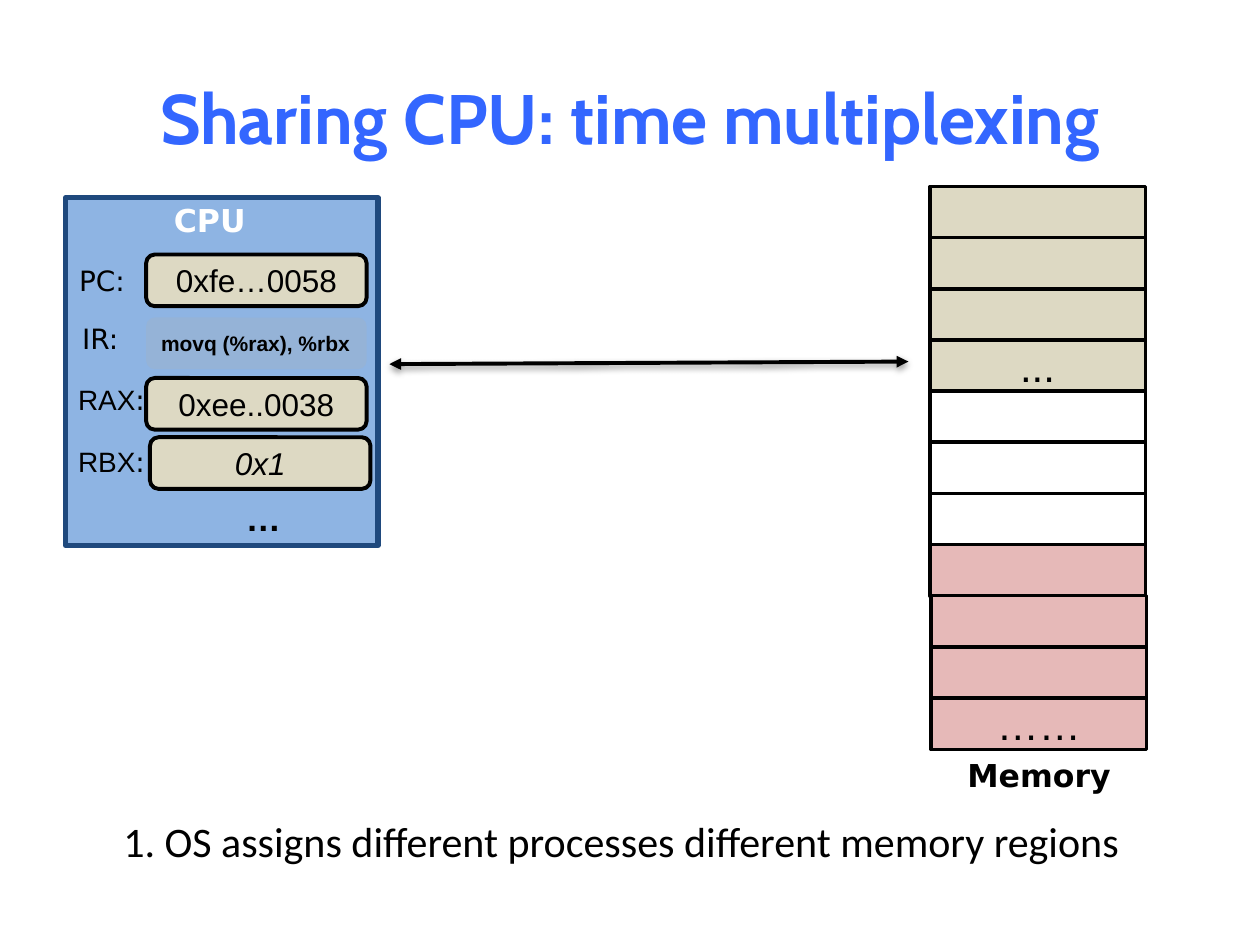
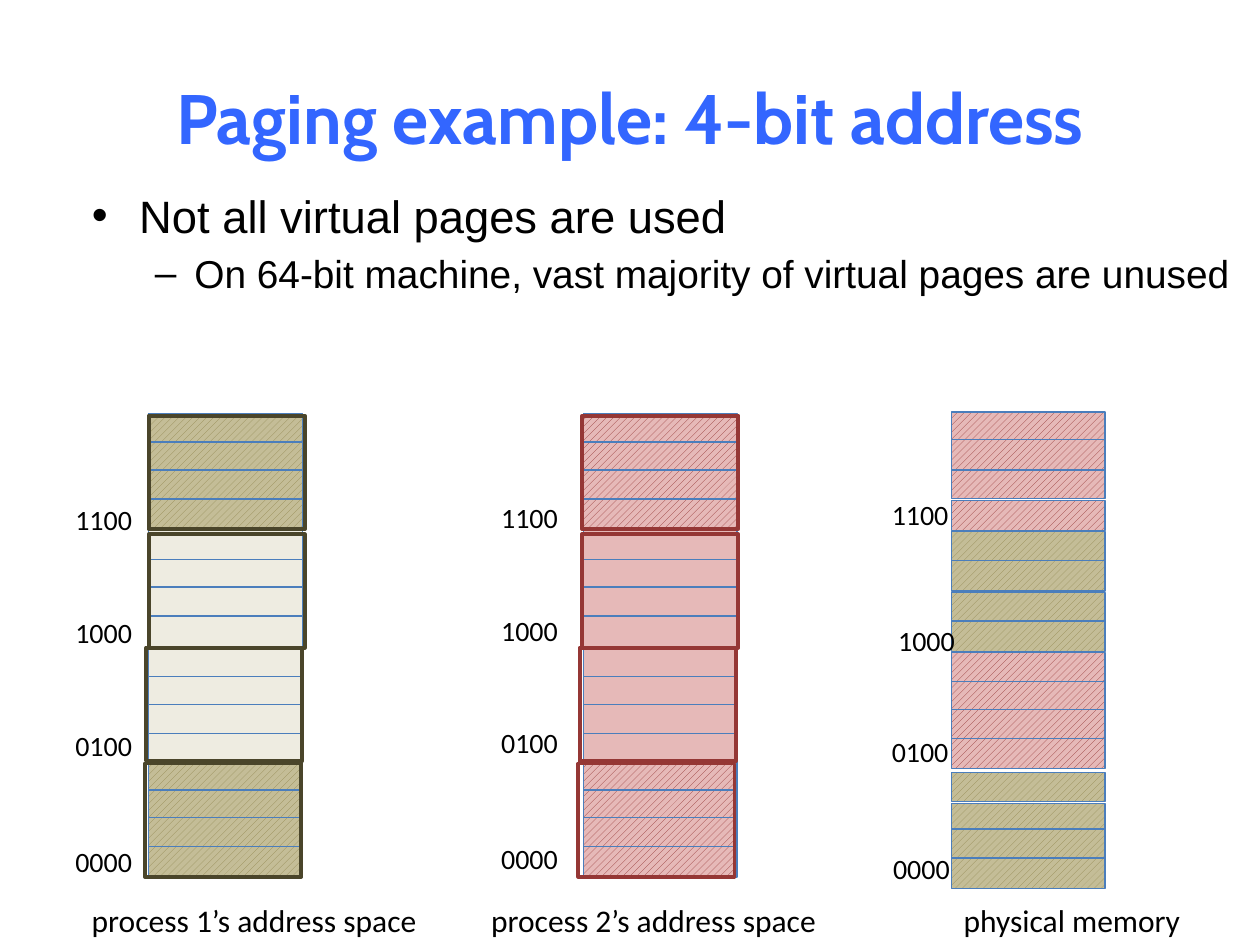
from lxml import etree
from pptx import Presentation
from pptx.dml.color import RGBColor
from pptx.enum import dml, shapes, text
from pptx.oxml import ns, parse_xml
from pptx.util import Inches, Pt

hue = RGBColor.from_string
BLACK, WHITE, BLUE = "000000", "FFFFFF", "3366FF"
SAND, ROSE, EDGE = "DDD9C3", "E6B9B8", "4B7EBC"
OLIVE = ("948A54", "C4BD97")
RED = ("953735", ROSE)
RECT = shapes.MSO_SHAPE.RECTANGLE
ROUND = shapes.MSO_SHAPE.ROUNDED_RECTANGLE
LEFT, MID = text.PP_ALIGN.LEFT, text.PP_ALIGN.CENTER


def box(page, kind, x, y, w, h, fill=None, line=None, width=0.75):
    """Add a preset shape, or a text box if kind is None; a pair as fill is a hatch."""
    at = [Inches(n) for n in (x, y, w, h)]
    if kind is None:
        item = page.shapes.add_textbox(*at)
        item.text_frame.word_wrap = False
        item.text_frame.auto_size = text.MSO_AUTO_SIZE.SHAPE_TO_FIT_TEXT
        return item
    item = page.shapes.add_shape(kind, *at)
    item.shadow.inherit = False
    if fill is None:
        item.fill.background()
    elif isinstance(fill, tuple):
        item.fill.patterned()
        item.fill.pattern = dml.MSO_PATTERN.WIDE_UPWARD_DIAGONAL
        item.fill.fore_color.rgb, item.fill.back_color.rgb = map(hue, fill)
    else:
        item.fill.solid()
        item.fill.fore_color.rgb = hue(fill)
    if line is None:
        item.line.fill.background()
    else:
        item.line.color.rgb = hue(line)
        item.line.width = Pt(width)
    return item


def write(item, words, size, face, color=BLACK, bold=False, italic=False, align=MID):
    para = item.text_frame.paragraphs[0]
    para.text = words
    para.alignment = align
    font = para.runs[0].font
    font.size, font.name, font.bold, font.italic = Pt(size), face, bold, italic
    font.color.rgb = hue(color)
    return para


deck = Presentation()
deck.slide_width, deck.slide_height = Inches(10), Inches(7.5)
pages = []
for layout, head in ((5, "Sharing CPU: time multiplexing"),
                     (1, "Paging example: 4-bit address")):
    page = deck.slides.add_slide(deck.slide_layouts[layout])
    title = page.shapes.title
    title.left, title.top = Inches(0.5), Inches(0.3)
    title.width, title.height = Inches(9), Inches(1.25)
    write(title, head, 40, "Cabin", BLUE, bold=True)
    pages.append(page)
share, paging = pages

# CPU with its registers
box(share, RECT, 0.52, 1.57, 2.48, 2.76, "8EB4E3", "1F497D", 3)
write(box(share, None, 1.28, 1.55, 0.77, 0.4), "CPU", 18, "DejaVu Sans", WHITE, bold=True)
for x, y, words, size, fill, line, bold, italic, align in (
        (1.16, 2.02, "0xfe…0058", 18, SAND, BLACK, False, False, MID),
        (1.16, 2.52, "movq (%rax), %rbx", 12, "95B3D7", None, True, False, LEFT),
        (1.16, 3, "0xee..0038", 18, SAND, BLACK, False, False, MID),
        (1.19, 3.47, "0x1", 18, SAND, BLACK, False, True, MID)):
    cell = box(share, ROUND, x, y, 1.75, 0.41, fill, line, 2.25)
    write(cell, words, size, "Arial", BLACK, bold, italic, align)
for x, y, w, name, face in ((0.51, 2.04, 0.6, "PC", "DejaVu Sans"),
                            (0.52, 2.5, 0.55, "IR", "DejaVu Sans"),
                            (0.5, 2.99, 0.77, "RAX", "Arial"),
                            (0.5, 3.48, 0.77, "RBX", "Arial")):
    para = write(box(share, None, x, y, w, 0.37), name, 16, face)
    colon = para.add_run()
    colon.text = ":"
    colon.font.size, colon.font.name = Pt(16), "DejaVu Sans"
    colon.font.color.rgb = hue(BLACK)
write(box(share, None, 1.85, 3.89, 0.48, 0.44), "…", 20, "Arial", bold=True)

# Memory cells
fills = [SAND] * 4 + [WHITE] * 3 + [ROSE] * 4
marks = {3: "...", 10: "……"}
for row, fill in enumerate(fills):
    x = 7.39 if row > 7 else 7.38
    cell = box(share, RECT, x, 1.48 + row * 0.406, 1.71, 0.41, fill, BLACK, 2)
    if row in marks:
        write(cell, marks[row], 24, "Arial")
write(box(share, None, 7.58, 5.95, 1.34, 0.4), "Memory", 18, "DejaVu Sans",
      bold=True, align=LEFT)

bus = share.shapes.add_connector(shapes.MSO_CONNECTOR.STRAIGHT, Inches(3.09),
                                 Inches(2.89), Inches(7.21), Inches(2.87))
bus.line.color.rgb = hue(BLACK)
bus.line.width = Pt(2.25)
stroke = bus.line._get_or_add_ln()
for end in ("a:headEnd", "a:tailEnd"):
    etree.SubElement(stroke, ns.qn(end), type="triangle")
bus._element.spPr.append(parse_xml(
    f'<a:effectLst {ns.nsdecls("a")}><a:outerShdw blurRad="40000" dist="20000" '
    'dir="5400000" rotWithShape="0"><a:srgbClr val="000000"><a:alpha val="38000"/>'
    '</a:srgbClr></a:outerShdw></a:effectLst>'))
write(box(share, None, 0.88, 6.42, 8.22, 0.5),
      "1. OS assigns different processes different memory regions",
      24, "Calibri", align=LEFT)

# Paging bullets
body = paging.placeholders[1]
body.left, body.top = Inches(0.63), Inches(1.44)
body.width, body.height = Inches(9.66), Inches(1.11)
body.text_frame.text = ("Not all virtual pages are used\n"
                        "On 64-bit machine, vast majority of virtual pages are unused")
body.text_frame.auto_size = text.MSO_AUTO_SIZE.NONE
for level, size in enumerate((25.9, 22.2)):
    para = body.text_frame.paragraphs[level]
    para.level = level
    font = para.runs[0].font
    font.size, font.name = Pt(size), "Arial"
    font.color.rgb = hue(BLACK)

# Address spaces: four pages of four cells each, from the top down
steps = (0, 0.23, 0.45, 0.68)
tops = [[top + step for step in steps] for top in (3.28, 4.21, 5.14, 6.04)]
frames = [[3.27, 3.49, 3.73, 3.97], [4.22, 4.45, 4.7, 4.93],
          [5.18, 5.41, 5.63, 5.86], [6.13, 6.38, 6.58, 6.81]]
for x, rows, fills in ((1.18, tops, (OLIVE, "EEECE1", "EEECE1", OLIVE)),
                       (4.63, tops, (RED, ROSE, ROSE, RED)),
                       (7.55, frames, (RED, OLIVE, RED, OLIVE))):
    for group, fill in zip(rows, fills):
        for row, y in enumerate(group):
            box(paging, RECT, x, y, 1.22, 0.23 + row % 2 * 0.01, fill, EDGE)

for x, line in ((1.18, "4A452A"), (4.62, "953735")):
    for shift, y in ((0, 3.3), (0, 4.24), (-0.02, 5.14), (-0.03, 6.06)):
        box(paging, RECT, x + shift, y, 1.24, 0.9, None, line, 2.25)

codes = ("1100", "1000", "0100", "0000")
for spots in (((0.5, 3.94), (0.5, 4.84), (0.5, 5.73), (0.5, 6.65)),
              ((3.88, 3.92), (3.88, 4.82), (3.88, 5.71), (3.88, 6.63)),
              ((6.98, 3.9), (7.03, 4.9), (6.98, 5.78), (6.99, 6.71))):
    for code, (x, y) in zip(codes, spots):
        write(box(paging, None, x, y, 0.66, 0.37), code, 16, "Calibri", align=LEFT)

for x, w, name in ((0.63, 2.83, "process 1’s address space"),
                   (3.8, 2.83, "process 2’s address space"),
                   (7.55, 1.95, "physical memory")):
    write(box(paging, None, x, 7.1, w, 0.4), name, 18, "Calibri", align=LEFT)

deck.save("out.pptx")
